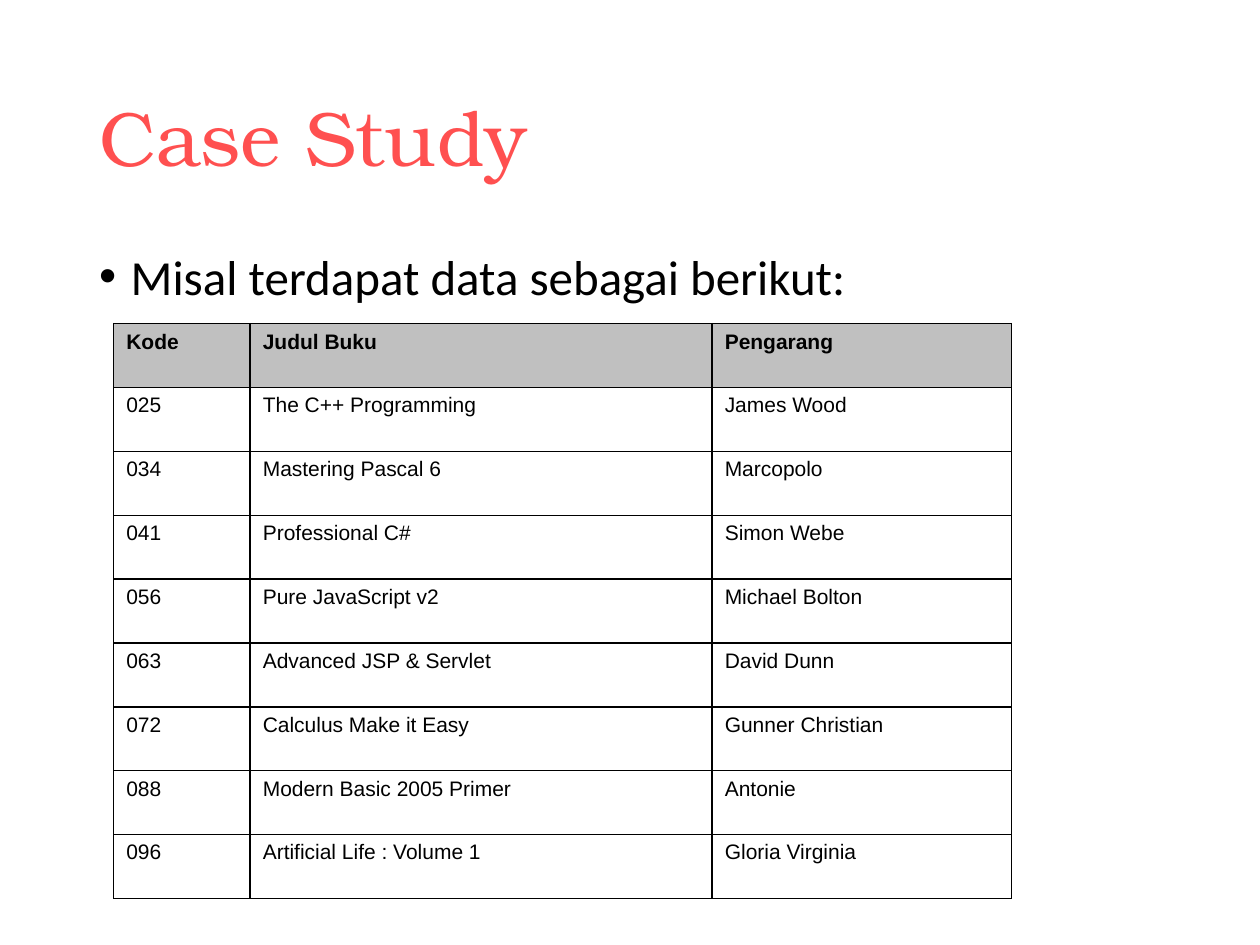
"""Build the Case Study slide with its table of books."""
import pptx
import pptx.dml.color
import pptx.enum.text
import pptx.oxml
import pptx.oxml.ns
import pptx.util

Pt = pptx.util.Pt
ALIGN = pptx.enum.text.PP_ALIGN
ANCHOR = pptx.enum.text.MSO_ANCHOR
CORAL = pptx.dml.color.RGBColor(0xFF, 0x50, 0x50)
BLACK = pptx.dml.color.RGBColor(0, 0, 0)
SILVER = pptx.dml.color.RGBColor(0xC0, 0xC0, 0xC0)

BOOKS = [
    ("Kode", "Judul Buku", "Pengarang"),
    ("025", "The C++ Programming", "James Wood"),
    ("034", "Mastering Pascal 6", "Marcopolo"),
    ("041", "Professional C#", "Simon Webe"),
    ("056", "Pure JavaScript v2", "Michael Bolton"),
    ("063", "Advanced JSP & Servlet", "David Dunn"),
    ("072", "Calculus Make it Easy", "Gunner Christian"),
    ("088", "Modern Basic 2005 Primer", "Antonie"),
    ("096", "Artificial Life : Volume 1", "Gloria Virginia"),
]


def write(frame, text, *, font, size, color=BLACK, bold=False, align=ALIGN.LEFT,
          spacing=1.0, before=0, hanging=0):
    paragraph = frame.paragraphs[0]
    paragraph.alignment = align
    paragraph.line_spacing = spacing
    paragraph.space_before = Pt(before)
    properties = paragraph._p.get_or_add_pPr()
    properties.set("marL", str(Pt(hanging)))
    properties.set("indent", str(-Pt(hanging)))
    run = paragraph.add_run()
    run.text = text
    run.font.name = font
    run.font.size = Pt(size)
    run.font.bold = bold
    run.font.color.rgb = color


class CaseStudySlide:
    title_font = "TeX Gyre Bonum"
    body_font = "Calibri"
    table_font = "Arial"
    border_width = 1

    def __init__(self, deck):
        self.slide = deck.slides.add_slide(deck.slide_layouts[1])

    def place(self, holder, left, top, width, height, anchor):
        holder.left, holder.top = Pt(left), Pt(top)
        holder.width, holder.height = Pt(width), Pt(height)
        holder.text_frame.vertical_anchor = anchor
        return holder.text_frame

    def title(self, text, *box):
        heading = self.place(self.slide.shapes.title, *box, ANCHOR.MIDDLE)
        write(heading, text, font=self.title_font, size=44, color=CORAL, spacing=0.9)

    def bullet(self, text, *box):
        body = self.place(self.slide.placeholders[1], *box, ANCHOR.TOP)
        write(body, text, font=self.body_font, size=28, spacing=0.8, before=10, hanging=18)

    def border(self, cell):
        properties = cell._tc.get_or_add_tcPr()
        for position, side in enumerate(("lnL", "lnR", "lnT", "lnB")):
            properties.insert(position, pptx.oxml.parse_xml(
                f'<a:{side} {pptx.oxml.ns.nsdecls("a")} w="{Pt(self.border_width)}">'
                f'<a:solidFill><a:srgbClr val="{BLACK}"/></a:solidFill></a:{side}>'))

    def table(self, rows, left, top, widths, row_height):
        table = self.slide.shapes.add_table(
            len(rows), len(widths), Pt(left), Pt(top),
            Pt(sum(widths)), Pt(row_height * len(rows))).table
        table.first_row = table.horz_banding = False
        for column, width in zip(table.columns, widths):
            column.width = Pt(width)
        for row_index, row in enumerate(rows):
            is_header = row_index == 0
            table.rows[row_index].height = Pt(row_height)
            for column_index, text in enumerate(row):
                cell = table.cell(row_index, column_index)
                if is_header:
                    cell.fill.solid()
                    cell.fill.fore_color.rgb = SILVER
                else:
                    cell.fill.background()
                write(cell.text_frame, text, font=self.table_font, size=12,
                      bold=is_header, align=ALIGN.JUSTIFY, hanging=27)
                self.border(cell)


def main():
    deck = pptx.Presentation()
    deck.slide_width, deck.slide_height = Pt(720), Pt(540)
    case_study = CaseStudySlide(deck)
    case_study.title("Case Study", 49.5, 28.8, 621, 104.4)
    case_study.bullet("Misal terdapat data sebagai berikut:", 49.5, 143.8, 621, 342.6)
    case_study.table(BOOKS, 65, 185, (78, 264, 171), 36.5)
    deck.save("out.pptx")


if __name__ == "__main__":
    main()
